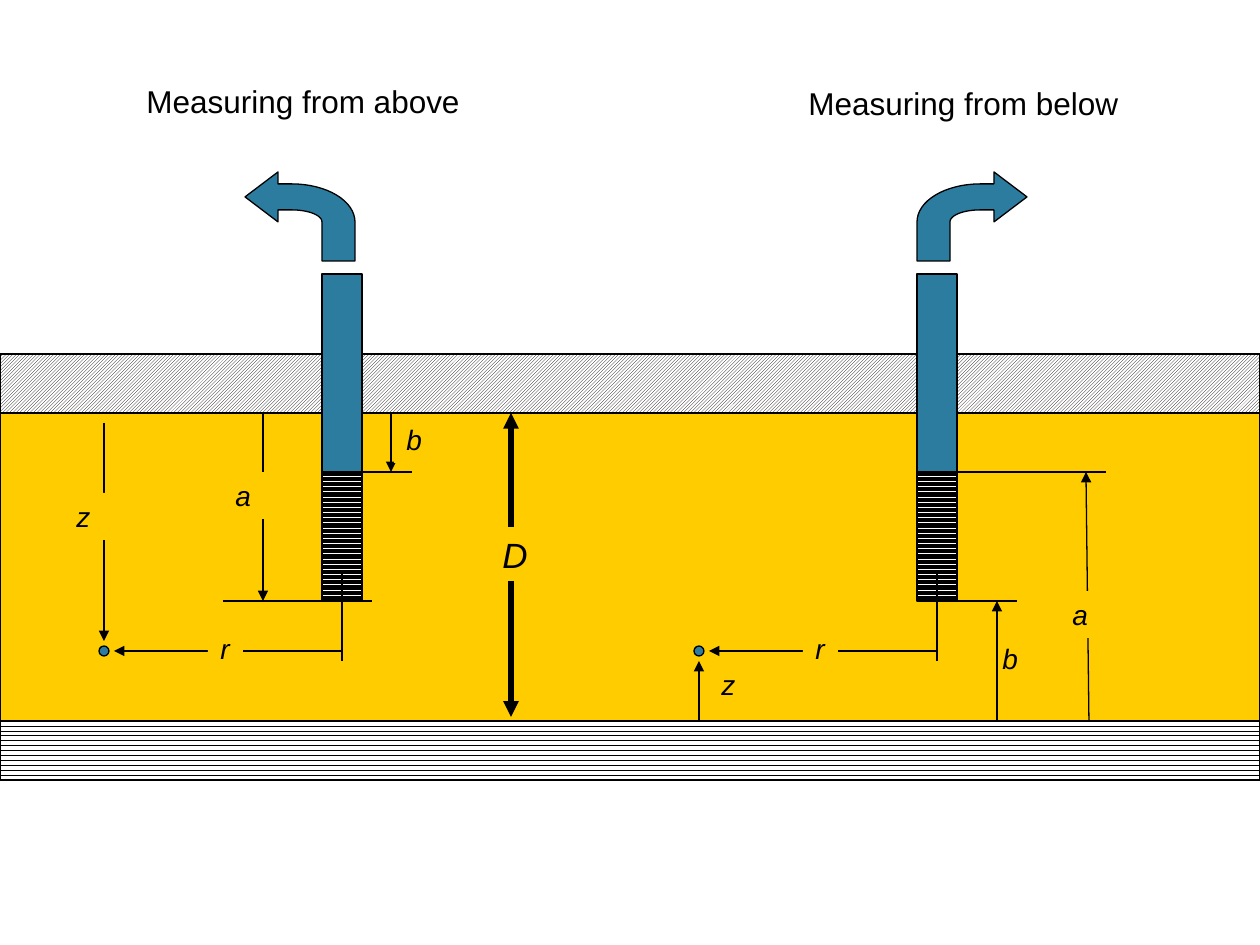
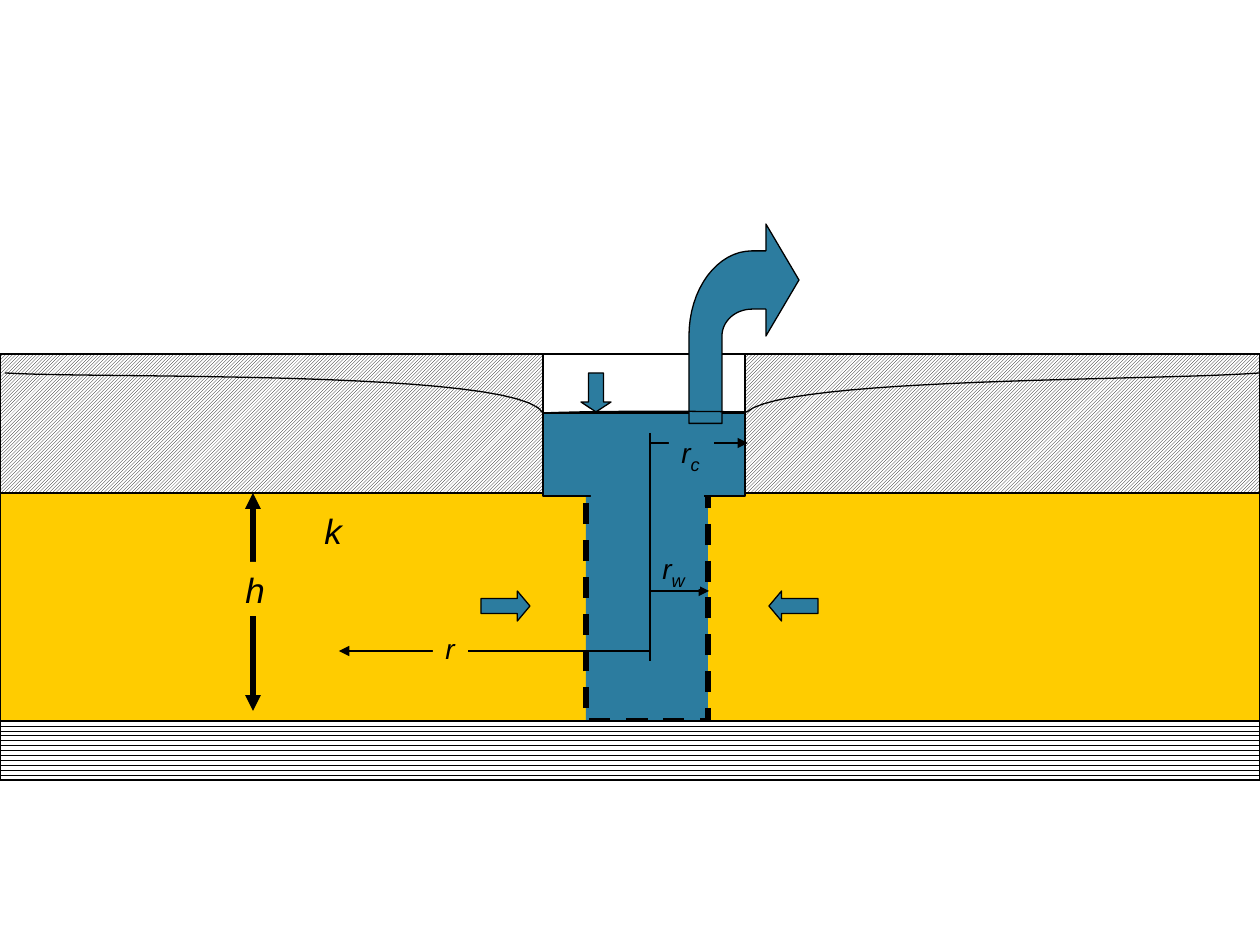
from math import cos, pi, sin

from lxml.etree import SubElement
from pptx import Presentation
from pptx.dml.color import RGBColor
from pptx.enum.dml import MSO_LINE, MSO_PATTERN
from pptx.enum.shapes import MSO_CONNECTOR, MSO_SHAPE
from pptx.enum.text import MSO_AUTO_SIZE
from pptx.oxml.ns import qn
from pptx.util import Emu, Pt

SCALE = 914400 / 126
WIDTH, HEIGHT = 1260, 945
BLACK, WHITE, WATER, SAND = "000000", "FFFFFF", "2C7C9F", "FFCC00"
FONT = "Arial"
THIN, THICK = 0.75, 3
GROUND, AQUIFER_TOP, AQUIFER_BOTTOM, BASE_BOTTOM = 354, 413, 721, 780

PIPE_WIDTH, PIPE_TOP, SCREEN_TOP, SCREEN_BOTTOM = 40, 274, 472, 601
WELLS = [322, 917]
TITLES = [("Measuring from above", 134, 76, 339), ("Measuring from below", 796, 78, 335)]
DEPTH_LINES = [
    (263, 413, 263, 601, "end"),
    (342, 472, 412, 472, "none"),
    (372, 601, 223, 601, "none"),
    (104, 423, 104, 641, "end"),
    (391, 413, 391, 472, "end"),
    (1089, 721, 1086, 472, "end"),
    (948, 472, 1106, 472, "none"),
    (1017, 601, 917, 601, "none"),
    (699, 721, 699, 661, "end"),
]
DEPTH_LABELS = [
    ("b", 394, 416, 48), ("a", 223, 472, 48), ("z", 64, 493, 47),
    ("b", 990, 635, 48), ("a", 1060, 591, 48), ("z", 709, 661, 48),
]

CAP_BOTTOM = 493
RADIUS_LABELS = [("c", 669, 426, 45), ("w", 650, 542, 50)]
RADIUS_LINES = [(650, 443, 748, 443, "end"), (650, 591, 709, 591, "end")]
FLOW_ARROWS = [
    (MSO_SHAPE.DOWN_ARROW, (581, 373, 30, 39), 0.33),
    (MSO_SHAPE.RIGHT_ARROW, (481, 591, 49, 30), 0.42),
    (MSO_SHAPE.LEFT_ARROW, (769, 591, 49, 30), 0.42),
]
WATER_TABLE = [
    (5, 373),
    (95, 379), (519, 369), (543, 413),
    (600, 411), (669, 411), (747, 412),
    (785, 377), (1157, 381), (1260, 373),
]


def px(value):
    return Emu(round(value * SCALE))


def color(value):
    return RGBColor.from_string(value)


def set_line(shape, width=THIN):
    shape.line.color.rgb = color(BLACK)
    shape.line.width = Pt(width)


def set_fill(shape, fill):
    if isinstance(fill, str):
        shape.fill.solid()
        shape.fill.fore_color.rgb = color(fill)
    elif fill is None:
        shape.fill.background()
    else:
        shape.fill.patterned()
        shape.fill.pattern = fill
        shape.fill.fore_color.rgb = color(BLACK)
        shape.fill.back_color.rgb = color(WHITE)


def add_box(slide, box, fill, kind=MSO_SHAPE.RECTANGLE, line=THIN, dash=None):
    shape = slide.shapes.add_shape(kind, *map(px, box))
    shape.shadow.inherit = False
    set_fill(shape, fill)
    if line:
        set_line(shape, line)
    else:
        shape.line.fill.background()
    if dash:
        shape.line.dash_style = dash
    return shape


def add_line(slide, x1, y1, x2, y2, arrows="end", width=THIN):
    connector = slide.shapes.add_connector(MSO_CONNECTOR.STRAIGHT, *map(px, (x1, y1, x2, y2)))
    set_line(connector, width)
    ends = {"none": [], "end": ["a:tailEnd"], "both": ["a:headEnd", "a:tailEnd"]}[arrows]
    outline = connector.line._get_or_add_ln()
    for end in ends:
        SubElement(outline, qn(end), type="triangle")
    SubElement(connector._element.spPr, qn("a:effectLst"))


def add_text(slide, text, x, y, width, height=47, size=16, italic=True, fill=SAND, subscript=""):
    shape = slide.shapes.add_textbox(*map(px, (x, y, width, height)))
    set_fill(shape, fill)
    frame = shape.text_frame
    frame.word_wrap = False
    frame.auto_size = MSO_AUTO_SIZE.SHAPE_TO_FIT_TEXT
    paragraph = frame.paragraphs[0]
    for content, points in ((text, size), (subscript, 18)):
        if not content:
            continue
        run = paragraph.add_run()
        run.text = content
        run.font.name = FONT
        run.font.size = Pt(points)
        run.font.italic = italic
        run.font.color.rgb = color(BLACK)
    if subscript:
        run._r.get_or_add_rPr().set("baseline", "-25000")


def add_outline(slide, points, fill=None, close=False):
    (start_x, start_y), *rest = [(px(x), px(y)) for x, y in points]
    builder = slide.shapes.build_freeform(start_x, start_y, scale=1.0)
    builder.add_line_segments(rest, close=close)
    shape = builder.convert_to_shape()
    shape.shadow.inherit = False
    set_fill(shape, fill)
    set_line(shape)


def arc(center, radius_x, radius_y, steps=16):
    angles = [pi / 2 * step / steps for step in range(steps + 1)]
    return [(center[0] - radius_x * sin(a), center[1] - radius_y * cos(a)) for a in angles]


def add_elbow_arrow(slide, x, y, stretch=1, direction=1):
    bend = (63, 50)
    outline = [(110, 25), (77, 0), (77, 12)]
    outline += arc(bend, 63, 38) + [(0, 89), (33, 89)]
    outline += arc(bend, 30, 12)[::-1] + [(77, 38), (77, 50)]
    points = [(x + direction * dx, y + stretch * dy) for dx, dy in outline]
    add_outline(slide, points, fill=WATER, close=True)


def bezier(points, steps=24):
    curve = [points[0]]
    for i in range(0, len(points) - 1, 3):
        for step in range(1, steps + 1):
            t = step / steps
            weights = ((1 - t) ** 3, 3 * t * (1 - t) ** 2, 3 * t * t * (1 - t), t ** 3)
            curve.append(tuple(
                sum(w * p[axis] for w, p in zip(weights, points[i:i + 4])) for axis in (0, 1)))
    return curve


def add_strata(slide, cap_bottom, intakes, fill, **style):
    add_box(slide, (0, AQUIFER_TOP, WIDTH, AQUIFER_BOTTOM - AQUIFER_TOP), SAND)
    for intake in intakes:
        add_box(slide, intake, fill, **style)
    add_box(slide, (0, AQUIFER_BOTTOM, WIDTH, BASE_BOTTOM - AQUIFER_BOTTOM), MSO_PATTERN.WAVE)
    add_box(slide, (0, GROUND, WIDTH, cap_bottom - GROUND), MSO_PATTERN.LIGHT_UPWARD_DIAGONAL)


def build_measuring(slide):
    screens = [(x, SCREEN_TOP, PIPE_WIDTH, SCREEN_BOTTOM - SCREEN_TOP) for x in WELLS]
    add_strata(slide, AQUIFER_TOP, screens, MSO_PATTERN.DARK_HORIZONTAL)
    for line in DEPTH_LINES:
        add_line(slide, *line)
    add_line(slide, 511, AQUIFER_TOP, 511, 717, "both", THICK)
    add_text(slide, "D", 490, 527, 50, 54, size=20)
    for label in DEPTH_LABELS:
        add_text(slide, *label)
    for x, direction in zip(WELLS, (-1, 1)):
        axis = x + PIPE_WIDTH / 2
        add_line(slide, axis, 651, x - 208, 651)
        add_text(slide, "r", x - 114, 625, 35)
        add_box(slide, (x - 223, 646, 10, 10), WATER, MSO_SHAPE.OVAL)
        add_line(slide, axis, 572, axis, 661, "none")
        add_elbow_arrow(slide, x if direction > 0 else x + 33, 172, direction=direction)
        add_box(slide, (x, PIPE_TOP, PIPE_WIDTH, SCREEN_TOP - PIPE_TOP), WATER)
    add_line(slide, 997, AQUIFER_BOTTOM, 997, SCREEN_BOTTOM)
    for text, x, y, width in TITLES:
        add_text(slide, text, x, y, width, 50, size=18, italic=False, fill=None)


def build_radial_flow(slide):
    intake = (586, CAP_BOTTOM, 122, AQUIFER_BOTTOM - CAP_BOTTOM)
    add_strata(slide, CAP_BOTTOM, [intake], WATER, line=THICK, dash=MSO_LINE.DASH)
    add_line(slide, 253, CAP_BOTTOM, 253, 711, "both", THICK)
    add_text(slide, "h", 233, 562, 45, 54, size=20)
    add_line(slide, 650, 651, 339, 651)
    add_text(slide, "r", 433, 625, 35)
    add_box(slide, (543, GROUND, 202, 141), WHITE)
    add_box(slide, (543, AQUIFER_TOP, 202, 83), WATER)
    add_box(slide, (591, 473, 113, 62), WATER, line=None)
    add_elbow_arrow(slide, 689, 224, stretch=2.24)
    for line in RADIUS_LINES:
        add_line(slide, *line)
    for subscript, x, y, width in RADIUS_LABELS:
        add_text(slide, "r", x, y, width, fill=WATER, subscript=subscript)
    add_line(slide, 650, 433, 650, 661, "none")
    for kind, box, head in FLOW_ARROWS:
        arrow = add_box(slide, box, WATER, kind)
        arrow.adjustments[0] = 0.5
        arrow.adjustments[1] = head
    add_text(slide, "k", 312, 503, 43, 54, size=20)
    add_outline(slide, bezier(WATER_TABLE))


def main():
    presentation = Presentation()
    presentation.slide_width, presentation.slide_height = px(WIDTH), px(HEIGHT)
    for build in (build_measuring, build_radial_flow):
        build(presentation.slides.add_slide(presentation.slide_layouts[6]))
    presentation.save("out.pptx")


if __name__ == "__main__":
    main()
